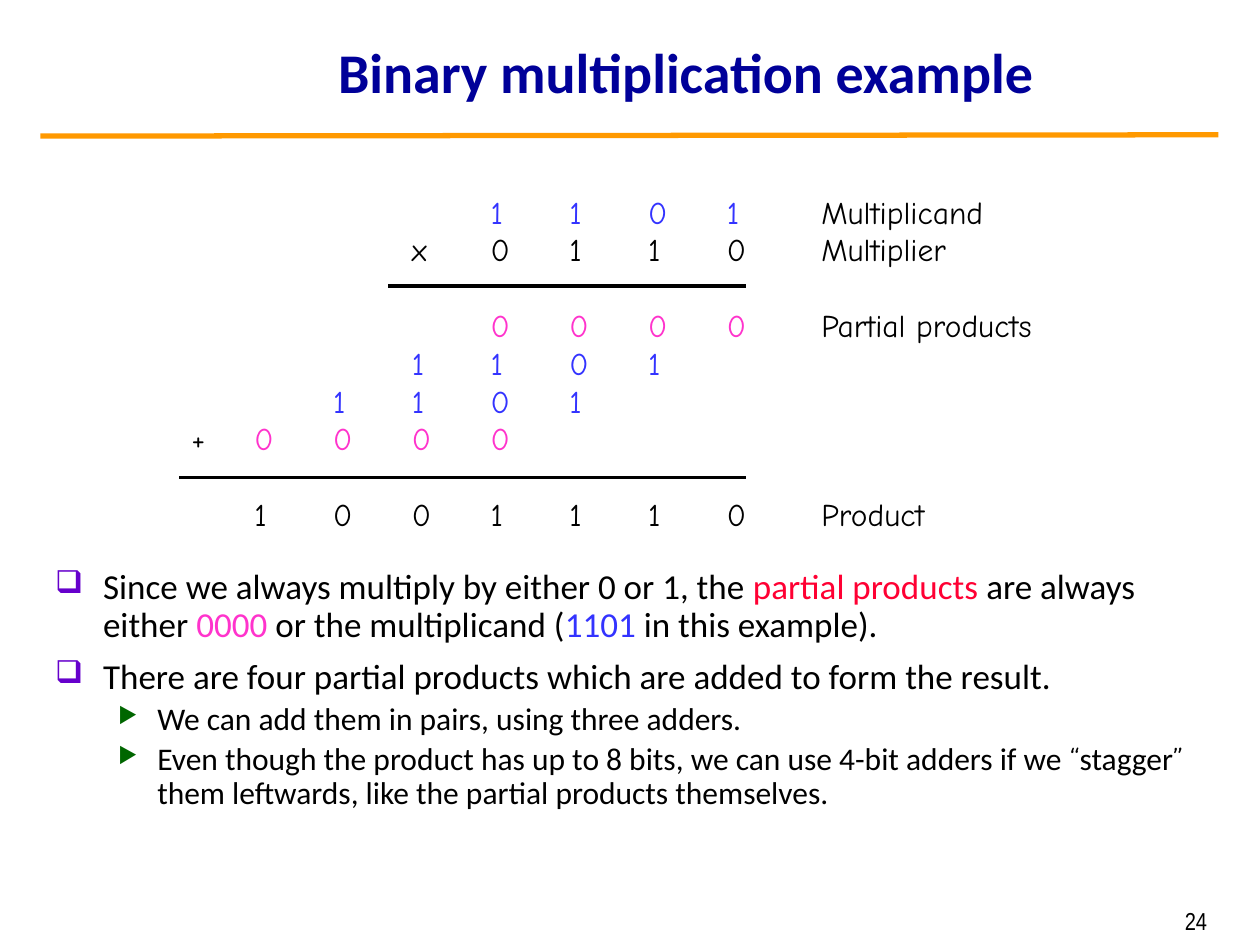
from lxml.etree import SubElement
from pptx import Presentation
from pptx.dml.color import RGBColor
from pptx.enum.shapes import MSO_CONNECTOR
from pptx.enum.text import MSO_ANCHOR, PP_ALIGN
from pptx.oxml.ns import qn
from pptx.util import Inches, Pt

BLACK, BLUE, PINK, RED = "000000", "3333FF", "FF33CC", "FF0033"


def paint(color, value):
    color.rgb = RGBColor.from_string(value)


def write(para, parts, size, face):
    for text, color, *other in parts:
        run = para.add_run()
        run.text = text
        run.font.size = Pt(size)
        run.font.name = other[0] if other else face
        paint(run.font.color, color)


deck = Presentation()
deck.slide_width, deck.slide_height = Inches(10), Inches(7.5)
slide = deck.slides.add_slide(deck.slide_layouts[5])
shapes = slide.shapes

title = shapes.title
title.left, title.top = Inches(1.22), Inches(0.13)
title.width, title.height = Inches(8.45), Inches(0.87)
title.text_frame.text = "Binary multiplication example"
title.text_frame.vertical_anchor = MSO_ANCHOR.MIDDLE
head = title.text_frame.paragraphs[0]
head.alignment = PP_ALIGN.CENTER
font = head.runs[0].font
font.name, font.size, font.bold = "Calibri", Pt(32), True
paint(font.color, "000099")

rules = [
    (0.32, 1.08, 9.67, 1.07, "FF9900", 3),
    (5.92, 2.27, 3.08, 2.27, BLACK, 2.25),
    (5.92, 3.79, 1.42, 3.79, BLACK, 2.25),
]
for x1, y1, x2, y2, color, width in rules:
    rule = shapes.add_connector(
        MSO_CONNECTOR.STRAIGHT, Inches(x1), Inches(y1), Inches(x2), Inches(y2))
    paint(rule.line.color, color)
    rule.line.width = Pt(width)
    SubElement(rule._element.spPr, qn("a:effectLst"))

rows = [
    (0, [("\t\t\t\t1\t1\t0\t1", BLUE), ("\tMultiplicand", BLACK)]),
    (0, [("\t\t\tx\t0\t1\t1\t0\tMultiplier", BLACK)]),
    (21.6, [("\t\t\t\t0\t0\t0\t0", PINK), ("\tPartial products", BLACK)]),
    (0, [("\t\t\t1\t1\t0\t1", BLUE)]),
    (0, [("\t\t1\t1\t0\t1", BLUE)]),
    (0, [("+", BLACK), ("\t0\t0\t0\t0", PINK)]),
    (21.6, [("\t1\t0\t0\t1\t1\t1\t0\tProduct", BLACK)]),
]
stops = [0.5 + 0.625 * i for i in range(7)] + [5]
sums = shapes.add_textbox(Inches(1.42), Inches(1.48), Inches(7.07), Inches(3.1))
frame = sums.text_frame
frame.word_wrap = True
for i, (gap, parts) in enumerate(rows):
    para = frame.add_paragraph() if i else frame.paragraphs[0]
    para.space_before = Pt(gap)
    write(para, parts, 18, "Comic Neue")
    tabs = SubElement(para._p.get_or_add_pPr(), qn("a:tabLst"))
    for stop in stops:
        SubElement(tabs, qn("a:tab"), pos=str(Inches(stop)), algn="l")

levels = [
    (20, 8, 0.38, 0.38, "❑", "6600CC", 90),
    (18, 3.6, 0.81, 0.31, "▶", "006600", 70),
]
points = [
    (0, [("Since we always multiply by either 0 or 1, the ", BLACK),
         ("partial products", RED), (" are always either ", BLACK),
         ("0000", PINK), (" or the multiplicand (", BLACK),
         ("1101", BLUE), (" in this example).", BLACK)]),
    (0, [("There are four partial products which are added to form the result.",
          BLACK)]),
    (1, [("We can add them in pairs, using three adders.", BLACK)]),
    (1, [("Even though the product has up to 8 bits, "
          "we can use 4-bit adders if we ", BLACK),
         ("“", BLACK, "Comic Neue"), ("stagger", BLACK),
         ("”", BLACK, "Comic Neue"),
         (" them leftwards, like the partial products themselves.", BLACK)]),
]
notes = shapes.add_textbox(Inches(0.34), Inches(4.47), Inches(9.34), Inches(2.66))
frame = notes.text_frame
frame.word_wrap = True
for i, (level, parts) in enumerate(points):
    size, gap, left, hang, mark, color, scale = levels[level]
    para = frame.add_paragraph() if i else frame.paragraphs[0]
    para.level = level
    para.line_spacing = 0.9
    para.space_before = Pt(gap if i else 0)
    write(para, parts, size, "Calibri")
    props = para._p.get_or_add_pPr()
    props.set("marL", str(Inches(left)))
    props.set("indent", str(-Inches(hang)))
    SubElement(SubElement(props, qn("a:buClr")), qn("a:srgbClr"), val=color)
    SubElement(props, qn("a:buSzPct"), val=str(scale * 1000))
    SubElement(props, qn("a:buChar"), char=mark)

page = shapes.add_textbox(Inches(7.32), Inches(7.14), Inches(2.36), Inches(0.31))
para = page.text_frame.paragraphs[0]
para.alignment = PP_ALIGN.RIGHT
write(para, [("24", BLACK)], 14, "Arial Narrow")

deck.save("out.pptx")
